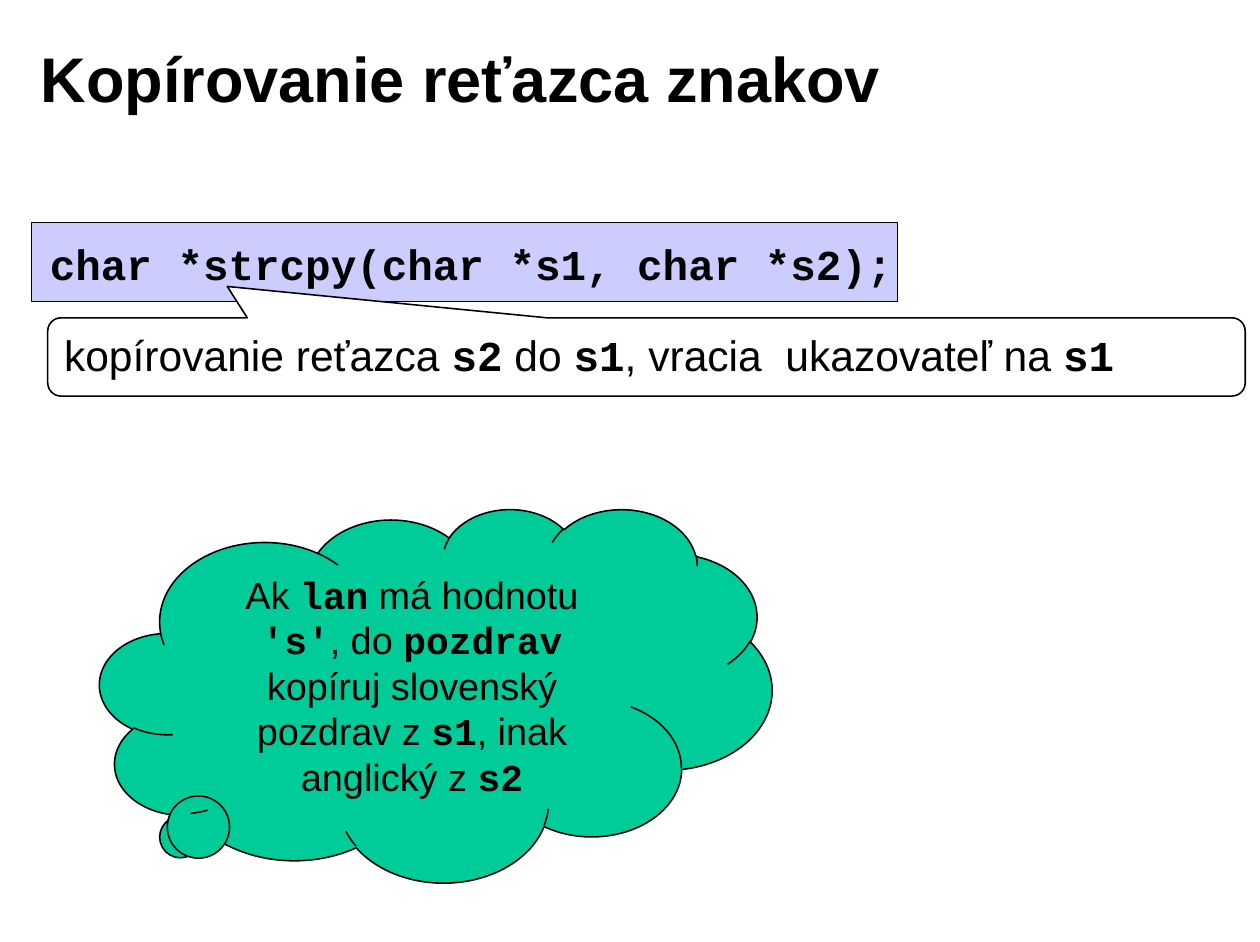
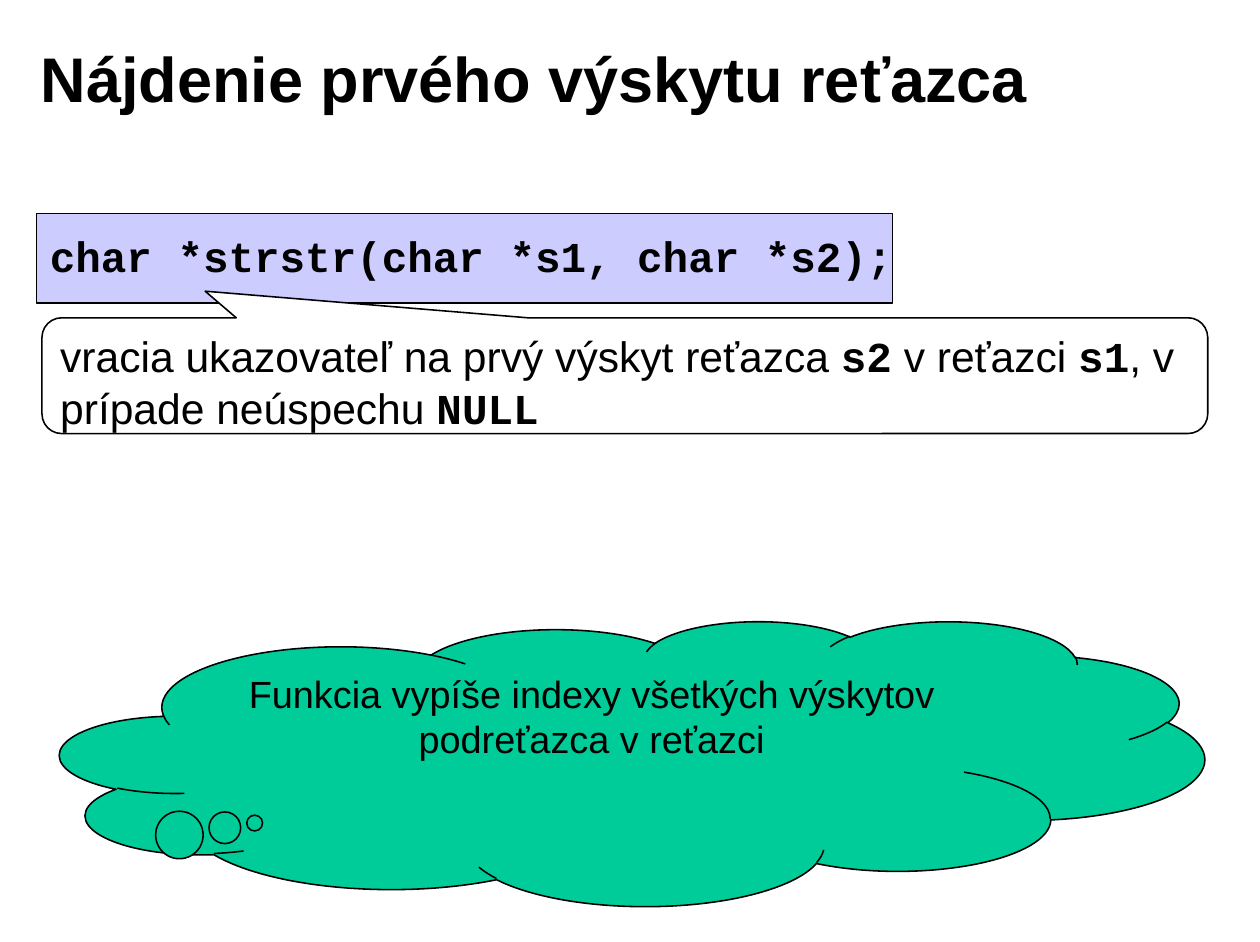
from pptx import Presentation
from pptx.dml.color import RGBColor
from pptx.enum import shapes, text
from pptx.util import Inches, Pt

BLACK, WHITE, LILAC, GREEN = "000000", "FFFFFF", "CCCCFF", "00CC99"
BODY_FONT, CODE_FONT = "Arial", "Courier New"
SHAPE = shapes.MSO_SHAPE
ALIGN, ANCHOR = text.PP_ALIGN, text.MSO_ANCHOR


def color(hex_value):
    return RGBColor.from_string(hex_value)


def write(frame, content, size, bold=False, align=ALIGN.LEFT,
          anchor=ANCHOR.TOP, wrap=True):
    """Fill a text frame; words between backticks are set as bold code."""
    frame.auto_size = text.MSO_AUTO_SIZE.NONE
    frame.word_wrap = wrap
    frame.vertical_anchor = anchor
    frame.margin_left = frame.margin_right = Inches(0.11)
    frame.margin_top = frame.margin_bottom = Inches(0.06)
    paragraph = frame.paragraphs[0]
    paragraph.alignment = align
    for index, part in enumerate(content.split("`")):
        if not part:
            continue
        is_code = index % 2 == 1
        run = paragraph.add_run()
        run.text = part
        run.font.name = CODE_FONT if is_code else BODY_FONT
        run.font.size = Pt(size)
        run.font.bold = bold or is_code
        run.font.color.rgb = color(BLACK)


def add_outlined(slide, kind, box, fill, line_width=1, adjustments=()):
    shape = slide.shapes.add_shape(kind, *map(Inches, box))
    shape.shadow.inherit = False
    shape.fill.solid()
    shape.fill.fore_color.rgb = color(fill)
    shape.line.color.rgb = color(BLACK)
    shape.line.width = Pt(line_width)
    for index, value in enumerate(adjustments):
        shape.adjustments[index] = value
    return shape


def add_title(slide, content):
    title = slide.shapes.title
    title.left, title.top, title.width, title.height = map(
        Inches, (0.25, 0.17, 8.91, 1.02))
    write(title.text_frame, content, 40, bold=True, anchor=ANCHOR.MIDDLE)


def add_prototype(slide, content, panel_box, text_top):
    """Add a function prototype on its lilac panel."""
    add_outlined(slide, SHAPE.RECTANGLE, panel_box, LILAC, line_width=0.75)
    prototype = slide.shapes.add_textbox(
        *map(Inches, (0.33, text_top, 7.74, 0.57)))
    write(prototype.text_frame, f"`{content}`", 27, wrap=False)


def add_explanation(slide, content, box, pointer):
    bubble = add_outlined(slide, SHAPE.ROUNDED_RECTANGULAR_CALLOUT, box,
                          WHITE, adjustments=(*pointer, 0.17))
    write(bubble.text_frame, content, 27)


def add_task(slide, content, box, pointer):
    cloud = add_outlined(slide, SHAPE.CLOUD_CALLOUT, box, GREEN,
                         adjustments=pointer)
    write(cloud.text_frame, content, 24, align=ALIGN.CENTER)


def add_function_slide(deck, title, prototype, explanation, task):
    slide = deck.slides.add_slide(deck.slide_layouts.get_by_name("Title Only"))
    add_title(slide, title)
    add_prototype(slide, *prototype)
    add_explanation(slide, *explanation)
    add_task(slide, *task)


def main():
    deck = Presentation()
    deck.slide_width, deck.slide_height = Inches(11.1), Inches(8.3)

    add_function_slide(
        deck,
        "Kopírovanie reťazca znakov",
        prototype=("char *strcpy(char *s1, char *s2);",
                   (0.28, 1.96, 7.63, 0.7), 2.04),
        explanation=("kopírovanie reťazca `s2` do `s1`, "
                     "vracia  ukazovateľ na `s1`",
                     (0.42, 2.8, 10.55, 0.69), (-0.35, -0.9)),
        task=("Ak `lan` má hodnotu `'s'`, do `pozdrav` kopíruj slovenský "
              "pozdrav z `s1`, inak anglický z `s2`",
              (0.88, 4.48, 5.92, 3.29), (-0.38, 0.38)),
    )
    add_function_slide(
        deck,
        "Nájdenie prvého výskytu reťazca",
        prototype=("char *strstr(char *s1, char *s2);",
                   (0.32, 1.88, 7.54, 0.79), 1.97),
        explanation=("vracia ukazovateľ na prvý výskyt reťazca `s2` "
                     "v reťazci `s1`, v prípade neúspechu `NULL`",
                     (0.37, 2.8, 10.27, 1.02), (-0.36, -0.73)),
        task=("Funkcia vypíše indexy všetkých výskytov podreťazca v reťazci",
              (0.53, 5.47, 10.08, 2.51), (-0.33, 0.21)),
    )
    deck.save("out.pptx")


if __name__ == "__main__":
    main()
